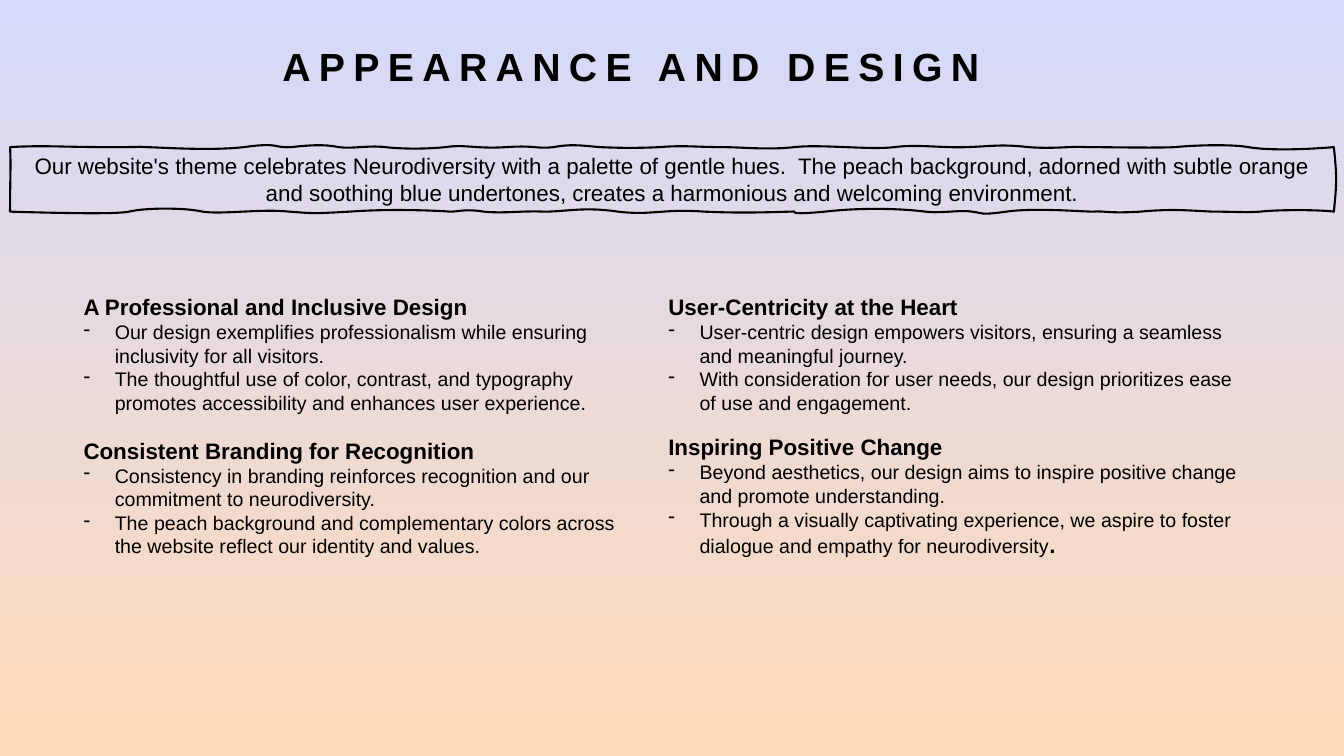
from lxml.etree import SubElement
from pptx import Presentation
from pptx.dml.color import RGBColor
from pptx.enum.text import MSO_ANCHOR as Anchor, MSO_AUTO_SIZE as AutoSize, PP_ALIGN as Align
from pptx.oxml.ns import qn
from pptx.util import Inches, Pt

TOP, BOTTOM, LEFT, RIGHT = 1.46, 2.1, 0.1, 13.23
HANG = 0.31

# Each wave: first control point, second control point, end x on the edge
TOP_WAVES = [
    (0.44, 1.44, 0.61, 1.46, 1.09), (1.58, 1.46, 1.29, 1.45, 1.43),
    (1.57, 1.46, 2.07, 1.5, 2.42), (2.78, 1.41, 2.7, 1.47, 2.89),
    (3.07, 1.44, 3.22, 1.43, 3.36), (3.49, 1.48, 3.65, 1.44, 3.82),
    (3.99, 1.48, 4.23, 1.48, 4.42), (4.61, 1.43, 4.72, 1.48, 5.02),
    (5.32, 1.44, 5.31, 1.48, 5.49), (5.66, 1.43, 5.73, 1.44, 5.95),
    (6.18, 1.47, 6.33, 1.47, 6.55), (6.77, 1.44, 6.93, 1.46, 7.15),
    (7.37, 1.46, 7.61, 1.49, 7.88), (8.14, 1.43, 8.64, 1.49, 8.87),
    (9.1, 1.43, 9.35, 1.47, 9.6), (9.85, 1.45, 9.94, 1.43, 10.2),
    (10.45, 1.48, 10.6, 1.45, 10.79), (10.99, 1.46, 11.47, 1.47, 11.66),
    (11.84, 1.44, 12.22, 1.43, 12.38), (12.55, 1.49, 12.87, 1.49, RIGHT),
]
BOTTOM_WAVES = [
    (13.08, 2.08, 12.67, 2.08, 12.5), (12.33, 2.11, 12.27, 2.1, 12.03),
    (11.8, 2.09, 11.63, 2.07, 11.31), (10.99, 2.12, 10.95, 2.09, 10.84),
    (10.73, 2.1, 10.26, 2.06, 9.98), (9.7, 2.14, 9.75, 2.11, 9.64),
    (9.54, 2.08, 9.32, 2.12, 9.18), (9.03, 2.08, 8.62, 2.05, 8.18),
    (7.75, 2.14, 7.94, 2.09, 7.85), (7.76, 2.1, 7.41, 2.12, 6.99),
    (6.56, 2.07, 6.47, 2.14, 6.13), (5.79, 2.05, 5.62, 2.1, 5.4),
    (5.18, 2.09, 5, 2.12, 4.8), (4.6, 2.07, 4.57, 2.1, 4.46),
    (4.35, 2.09, 3.86, 2.07, 3.47), (3.09, 2.12, 3.14, 2.12, 2.87),
    (2.61, 2.07, 2.19, 2.13, 2.01), (1.84, 2.06, 1.44, 2.06, 1.28),
    (1.13, 2.13, 0.45, 2.11, LEFT),
]
FRAME_CURVES = (
    [(*wave, TOP) for wave in TOP_WAVES]
    + [(13.26, 1.76, 13.26, 1.8, RIGHT, BOTTOM)]
    + [(*wave, BOTTOM) for wave in BOTTOM_WAVES]
    + [(0.1, 1.79, 0.11, 1.62, LEFT, TOP)]
)

THEME_TEXT = (
    "Our website's theme celebrates Neurodiversity with a palette of gentle hues.  "
    "The peach background, adorned with subtle orange and soothing blue undertones, "
    "creates a harmonious and welcoming environment."
)
DESIGN_TOPICS = [
    ("A Professional and Inclusive Design", [
        "Our design exemplifies professionalism while ensuring inclusivity for all visitors.",
        "The thoughtful use of color, contrast, and typography promotes accessibility "
        "and enhances user experience."]),
    ("Consistent Branding for Recognition", [
        "Consistency in branding reinforces recognition and our commitment to neurodiversity.",
        "The peach background and complementary colors across the website reflect our "
        "identity and values."]),
]
VISITOR_TOPICS = [
    ("User-Centricity at the Heart", [
        "User-centric design empowers visitors, ensuring a seamless and meaningful journey.",
        "With consideration for user needs, our design prioritizes ease of use and engagement."]),
    ("Inspiring Positive Change", [
        "Beyond aesthetics, our design aims to inspire positive change and promote understanding.",
        "Through a visually captivating experience, we aspire to foster dialogue and "
        "empathy for neurodiversity"]),
]


def color(hex_value):
    return RGBColor.from_string(hex_value)


def bend_lines(outline, curves):
    """Turn each straight segment of a freeform into the matching cubic curve."""
    segments = list(outline._element.iter(qn("a:lnTo")))
    for segment, curve in zip(segments, curves):
        segment.tag = qn("a:cubicBezTo")
        for old_point in list(segment):
            segment.remove(old_point)
        for x, y in zip(curve[::2], curve[1::2]):
            point = SubElement(segment, qn("a:pt"))
            point.set("x", str(Inches(x) - outline.left))
            point.set("y", str(Inches(y) - outline.top))


class DesignSlide:
    INK = "000000"
    FORMATS = {
        "title": {"name": "Arial", "size": Pt(28), "bold": True},
        "heading": {"name": "Arial", "size": Pt(16), "bold": True},
        "theme": {"name": "Arial", "size": Pt(16), "bold": False},
        "item": {"name": "Arial", "size": Pt(14), "bold": False},
    }

    def __init__(self, deck):
        self.slide = deck.slides.add_slide(deck.slide_layouts[5])

    def background(self, bottom, top):
        fill = self.slide.background.fill
        fill.gradient()
        fill.gradient_angle = 90
        for stop, hex_value in zip(fill.gradient_stops, (bottom, top)):
            stop.color.rgb = color(hex_value)

    def run(self, paragraph, text, role):
        run = paragraph.add_run()
        run.text = text
        for attribute, value in self.FORMATS[role].items():
            setattr(run.font, attribute, value)
        run.font.color.rgb = color(self.INK)
        return run

    def text_frame(self, holder, anchor, fit):
        frame = holder.text_frame
        settings = {"word_wrap": True, "auto_size": fit, "vertical_anchor": anchor}
        for attribute, value in settings.items():
            setattr(frame, attribute, value)
        return frame

    def outline(self, start, corners):
        """Add an unfilled, unlined freeform through the given points."""
        builder = self.slide.shapes.build_freeform(*map(Inches, start))
        builder.add_line_segments([tuple(map(Inches, corner)) for corner in corners])
        outline = builder.convert_to_shape()
        outline.shadow.inherit = False
        outline.fill.background()
        outline.line.fill.background()
        return outline

    def title(self, text, left, top, width, height):
        heading = self.slide.shapes.title
        heading.left, heading.top = Inches(left), Inches(top)
        heading.width, heading.height = Inches(width), Inches(height)
        paragraph = self.text_frame(heading, Anchor.BOTTOM, AutoSize.NONE).paragraphs[0]
        paragraph.alignment = Align.CENTER
        paragraph.line_spacing = 1.2
        run = self.run(paragraph, text, "title")
        run.font._element.set("spc", "600")

    def wavy_frame(self, text):
        banner = self.outline((LEFT, TOP), [curve[-2:] for curve in FRAME_CURVES])
        bend_lines(banner, FRAME_CURVES)
        banner.line.color.rgb = color(self.INK)
        banner.line.width = Pt(1.5)
        frame = self.text_frame(banner, Anchor.TOP, AutoSize.SHAPE_TO_FIT_TEXT)
        frame.paragraphs[0].alignment = Align.CENTER
        self.run(frame.paragraphs[0], text, "theme")

    def set_bullet(self, paragraph, mark):
        properties = paragraph._p.get_or_add_pPr()
        properties.set("marL", str(Inches(HANG)))
        properties.set("indent", str(-Inches(HANG)))
        SubElement(properties, qn("a:buFontTx"))
        SubElement(properties, qn("a:buChar")).set("char", mark)

    def topics(self, topics, topic_gap, left, top, width, height):
        """Add a column of headed lists and return its last paragraph."""
        right, bottom = left + width, top + height
        column = self.outline(
            (left, top), [(right, top), (right, bottom), (left, bottom), (left, top)])
        frame = self.text_frame(column, Anchor.TOP, AutoSize.SHAPE_TO_FIT_TEXT)
        for number, (heading, items) in enumerate(topics):
            paragraph = frame.add_paragraph() if number else frame.paragraphs[0]
            paragraph.alignment = Align.LEFT
            if number:
                paragraph.space_before = Pt(topic_gap)
            self.run(paragraph, heading, "heading")
            for item in items:
                paragraph = frame.add_paragraph()
                self.set_bullet(paragraph, "-")
                paragraph.alignment = Align.LEFT
                self.run(paragraph, item, "item")
        return paragraph


def main():
    deck = Presentation()
    deck.slide_width, deck.slide_height = Inches(13.33), Inches(7.5)
    page = DesignSlide(deck)
    page.background("FFDAB9", "D4DAFA")
    page.wavy_frame(THEME_TEXT)
    page.topics(DESIGN_TOPICS, 16.1, 0.73, 2.86, 5.62, 2.76)
    closing = page.topics(VISITOR_TOPICS, 13.8, 6.53, 2.86, 5.88, 2.76)
    page.run(closing, ".", "heading")
    page.title("APPEARANCE AND DESIGN ", 2.22, -0.07, 8.27, 1.01)
    deck.save("out.pptx")


if __name__ == "__main__":
    main()
